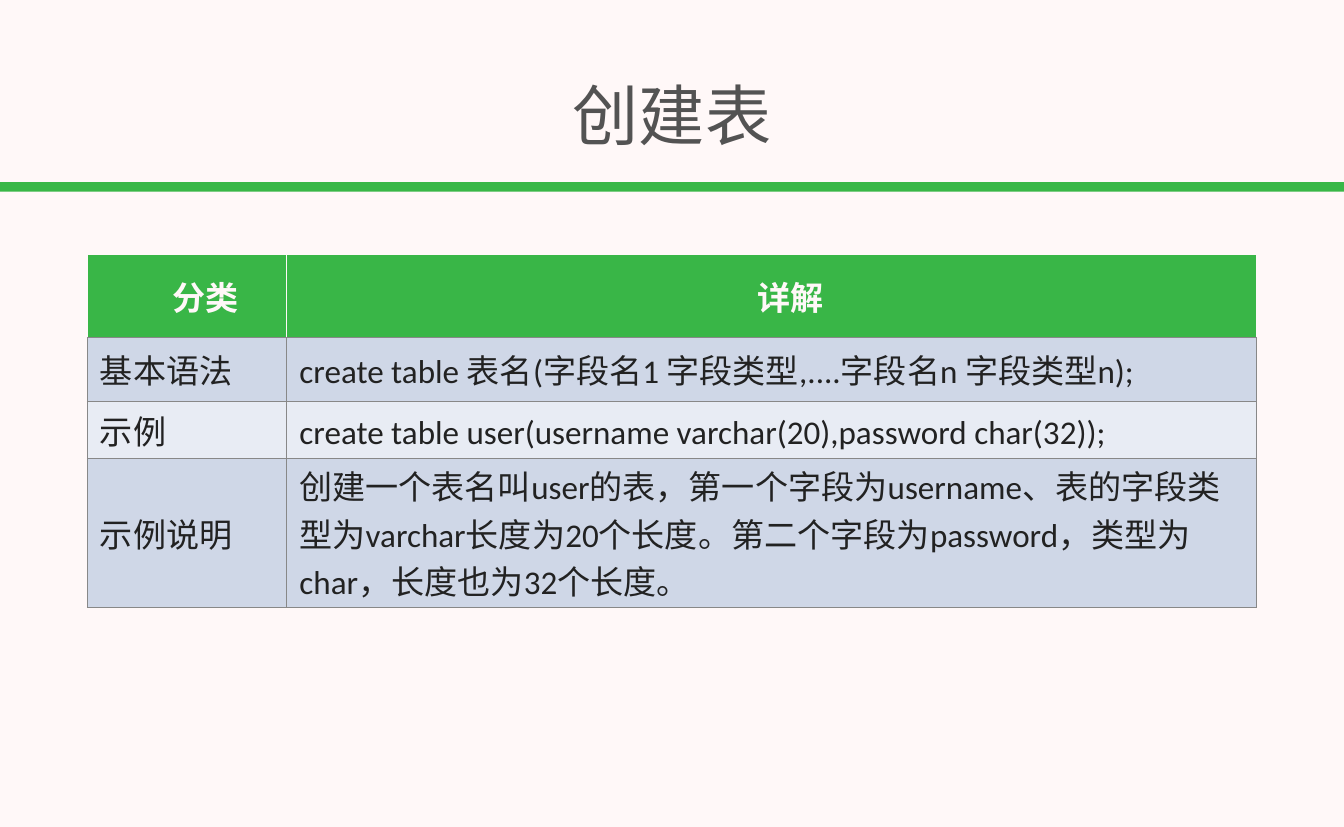
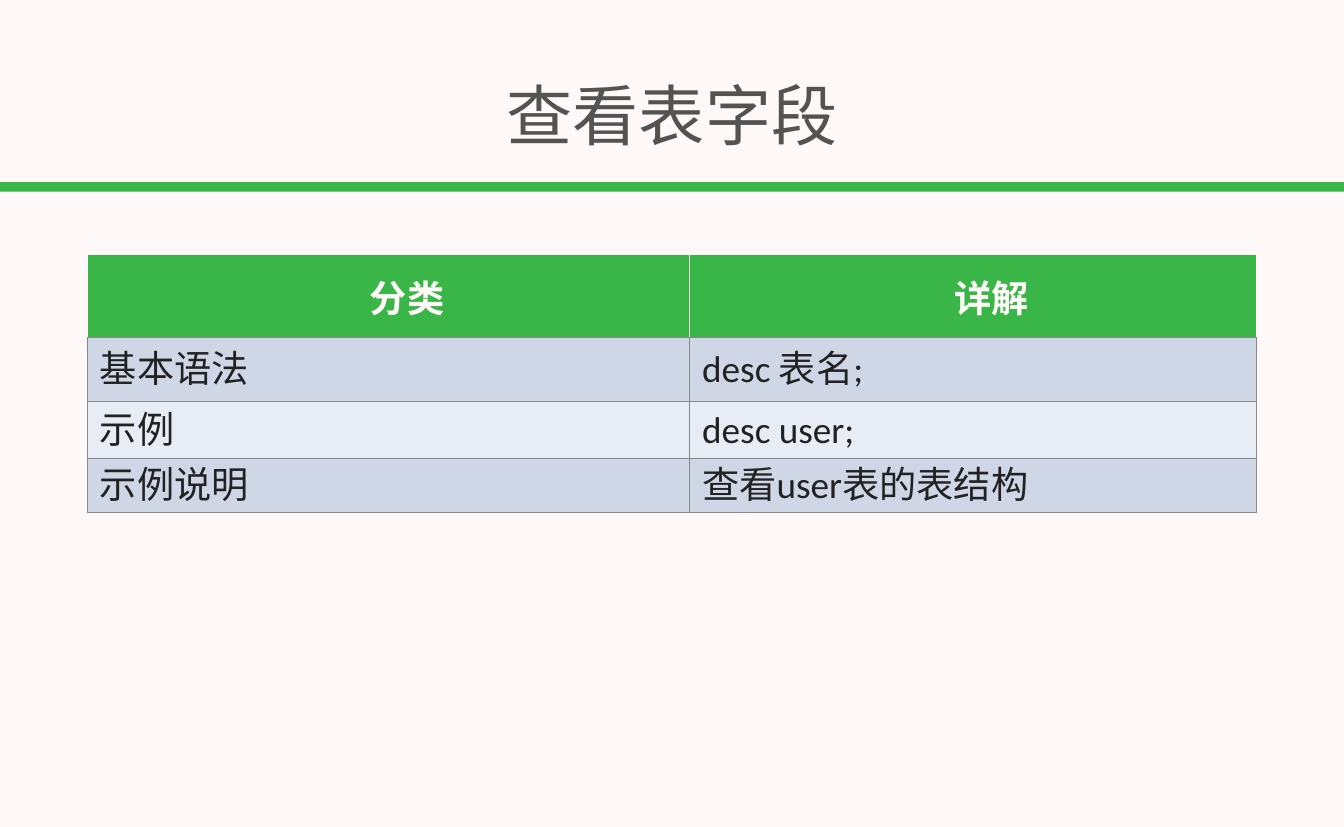
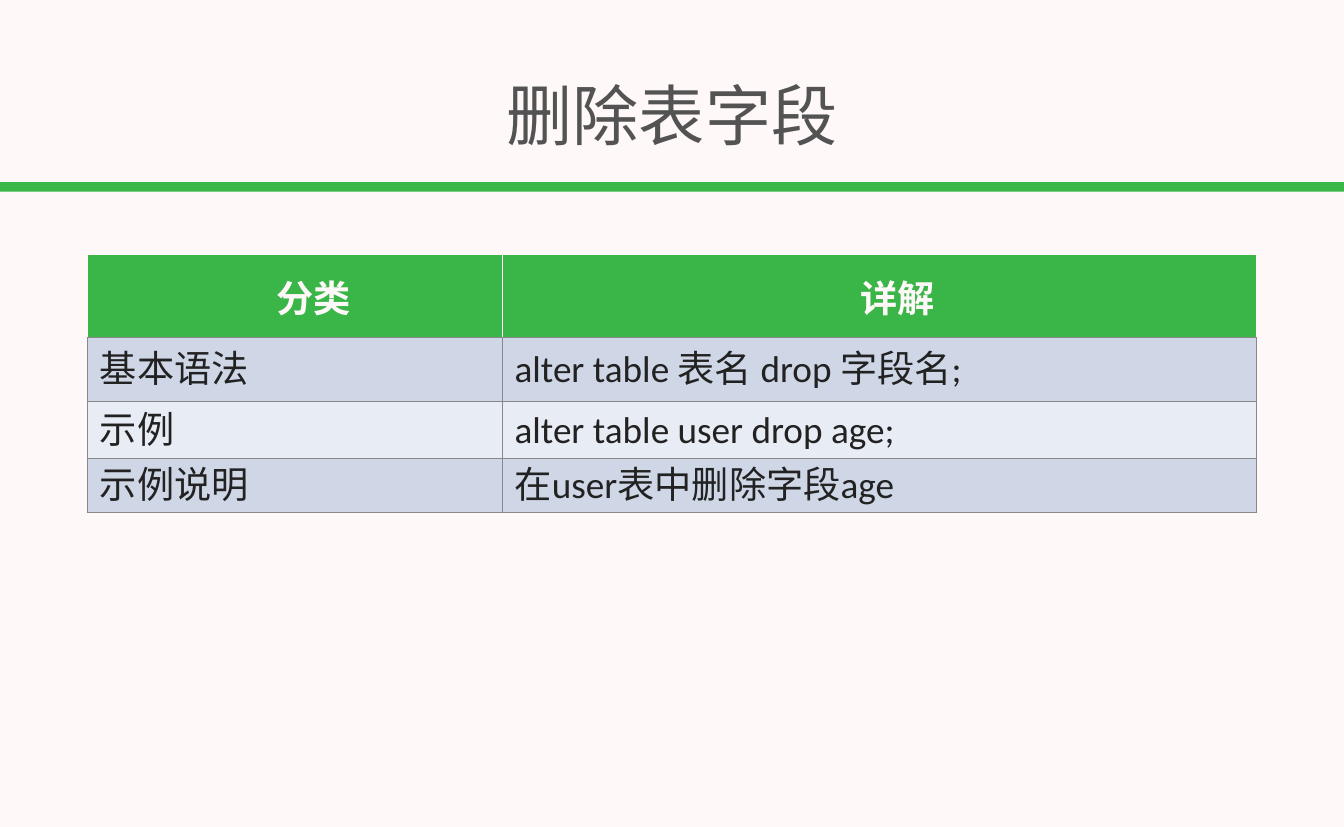
from dataclasses import dataclass

from lxml import etree
from pptx import Presentation
from pptx import util as u
from pptx.dml.color import RGBColor
from pptx.enum import shapes, text
from pptx.oxml import ns


@dataclass(frozen=True)
class Theme:
    font: str = "Calibri"
    paper: str = "FFF8F8"
    band: str = "39B747"
    header: str = "39B647"
    title: str = "535353"
    body: str = "222222"
    grid: str = "888888"
    stripes: tuple = ("CFD7E7", "E8ECF4")
    title_size: int = 64
    table_size: int = 36
    small_table_size: int = 32
    line_pitch: int = 46


THEME = Theme()
WIDTH, HEIGHT = u.Inches(18.06), u.Inches(11.11)
ROW_HEIGHTS = (9.98, 7.75, 6.92, 6.5)  # percent of the slide's height
HEADINGS = ("分类", "详解")
TOPICS = ("基本语法", "示例", "示例说明")


def rgb(value):
    return RGBColor.from_string(value)


def write(frame, words, *, size, color, bold=False, align=text.PP_ALIGN.LEFT,
          indent=0, pitch=None):
    """Fill a text frame with one paragraph; indent is in inches, pitch in points."""
    paragraph = frame.paragraphs[0]
    paragraph.alignment = align
    if indent:
        paragraph._p.get_or_add_pPr().set("indent", str(u.Inches(indent)))
    if pitch:
        paragraph.line_spacing = u.Pt(pitch)
    run = paragraph.add_run()
    run.text = words
    run.font.name = THEME.font
    run.font.size = u.Pt(size)
    run.font.bold = bold
    run.font.color.rgb = rgb(color)


def set_borders(cell, sides, bottom):
    """Draw one-point borders; must run before the cell's fill is set."""
    properties = cell._tc.get_or_add_tcPr()
    for side, color in zip("LRTB", (sides, sides, sides, bottom)):
        line = etree.SubElement(properties, ns.qn(f"a:ln{side}"), w=str(u.Pt(1)))
        fill = etree.SubElement(line, ns.qn("a:solidFill"))
        etree.SubElement(fill, ns.qn("a:srgbClr"), val=color)


class Deck:
    """Builds slides; places are percentages of the slide's size."""

    def __init__(self):
        self.presentation = Presentation()
        self.presentation.slide_width = WIDTH
        self.presentation.slide_height = HEIGHT
        self.slide = None

    @staticmethod
    def place(left, top, width, height):
        return [int(whole * share / 100) for whole, share in
                zip((WIDTH, HEIGHT) * 2, (left, top, width, height))]

    def start_slide(self, title):
        blank = self.presentation.slide_layouts[6]
        self.slide = self.presentation.slides.add_slide(blank)
        self.slide.background.fill.solid()
        self.slide.background.fill.fore_color.rgb = rgb(THEME.paper)
        self.band()
        self.title(title)

    def band(self):
        band = self.slide.shapes.add_shape(
            shapes.MSO_SHAPE.RECTANGLE, *self.place(0, 22.02, 100, 1.17))
        band.shadow.inherit = False
        band.fill.solid()
        band.fill.fore_color.rgb = rgb(THEME.band)
        band.line.fill.background()

    def title(self, words):
        frame = self.slide.shapes.add_textbox(
            *self.place(0.25, 7.38, 99.5, 12.78)).text_frame
        frame.word_wrap = True
        frame.vertical_anchor = text.MSO_ANCHOR.MIDDLE
        frame.margin_left = frame.margin_right = u.Inches(0.05)
        write(frame, words, size=THEME.title_size, color=THEME.title,
              align=text.PP_ALIGN.CENTER)

    def table(self, details, topic_share, size=THEME.table_size,
              row_heights=ROW_HEIGHTS):
        """Add the two-column table; topic_share is the first column's percentage."""
        rows = [HEADINGS, *zip(TOPICS, details)]
        left, top, width, height = self.place(6.5, 30.8, 87, sum(row_heights))
        table = self.slide.shapes.add_table(
            len(rows), 2, left, top, width, height).table
        table.first_row = table.horz_banding = False
        for column, share in zip(table.columns, (topic_share, 100 - topic_share)):
            column.width = int(width * share / 100)
        for index, (row, share) in enumerate(zip(rows, row_heights)):
            table.rows[index].height = int(HEIGHT * share / 100)
            for column, words in enumerate(row):
                cell = table.cell(index, column)
                if index == 0:
                    self.header_cell(cell, words, size)
                else:
                    self.body_cell(cell, words, size, THEME.stripes[(index - 1) % 2])

    def header_cell(self, cell, words, size):
        self.format_cell(cell, THEME.header, THEME.paper, margins=(0, 0))
        write(cell.text_frame, words, size=size, color=THEME.paper, bold=True,
              align=text.PP_ALIGN.CENTER, indent=0.5)

    def body_cell(self, cell, words, size, stripe):
        self.format_cell(cell, stripe, THEME.grid, margins=(0.17, 0.04))
        write(cell.text_frame, words, size=size, color=THEME.body,
              pitch=THEME.line_pitch)

    @staticmethod
    def format_cell(cell, fill, sides, margins):
        set_borders(cell, sides, bottom=THEME.grid)
        cell.fill.solid()
        cell.fill.fore_color.rgb = rgb(fill)
        cell.vertical_anchor = text.MSO_ANCHOR.MIDDLE
        across, down = map(u.Inches, margins)
        cell.margin_left = cell.margin_right = across
        cell.margin_top = cell.margin_bottom = down


def main():
    deck = Deck()

    deck.start_slide("创建表")
    deck.table(
        ("create table 表名(字段名1 字段类型,....字段名n 字段类型n);",
         "create table user(username varchar(20),password char(32));",
         "创建一个表名叫user的表，第一个字段为username、表的字段类型为varchar长度为20个长度。"
         "第二个字段为password，类型为char，长度也为32个长度。"),
        topic_share=17.06, size=THEME.small_table_size,
        row_heights=(*ROW_HEIGHTS[:3], 18))

    deck.start_slide("查看表字段")
    deck.table(("desc 表名;", "desc user;", "查看user表的表结构"), topic_share=51.5)

    deck.start_slide("删除表字段")
    deck.table(("alter table 表名 drop 字段名;", "alter table user drop age;",
                "在user表中删除字段age"), topic_share=35.46)

    deck.presentation.save("out.pptx")


if __name__ == "__main__":
    main()
